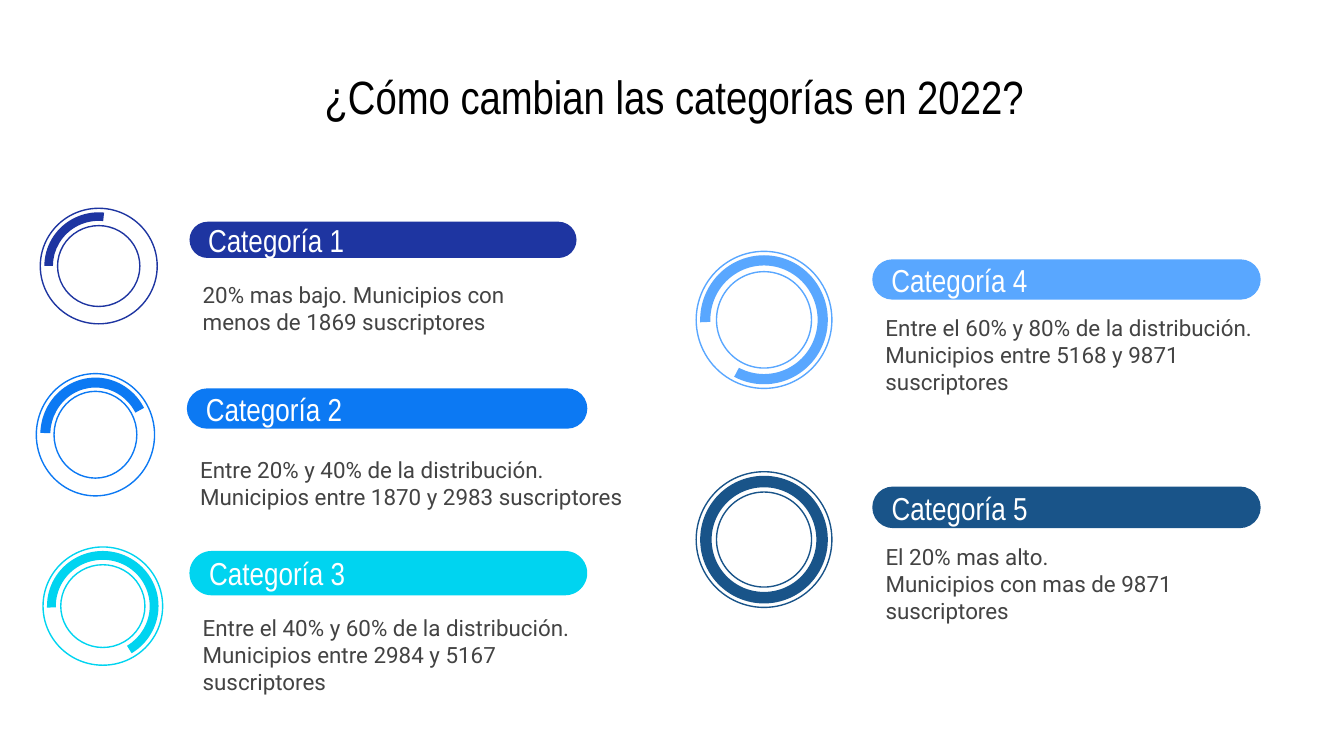
from dataclasses import dataclass

from pptx import Presentation
from pptx.dml.color import RGBColor
from pptx.enum.shapes import MSO_SHAPE
from pptx.enum.text import MSO_ANCHOR, PP_ALIGN
from pptx.util import Inches, Pt

DONUT = MSO_SHAPE.DONUT
BLOCK_ARC = MSO_SHAPE.BLOCK_ARC
ROUNDED = MSO_SHAPE.ROUNDED_RECTANGLE
MIDDLE = MSO_ANCHOR.MIDDLE
LEFT, CENTER = PP_ALIGN.LEFT, PP_ALIGN.CENTER

COLORS = {
    "navy": "1E35A1",
    "blue": "0C79F3",
    "cyan": "00D4F0",
    "sky": "59A7FF",
    "deep": "195489",
    "white": "FFFFFF",
    "gray": "434343",
    "black": "000000",
}
ARC_INSET = 0.03
ADJUSTMENT_PER_DEGREE = 0.6  # 60000 angle units on a scale of 100000


@dataclass
class Box:
    left: float
    top: float
    width: float
    height: float

    def lengths(self) -> list:
        return [Inches(v) for v in (self.left, self.top, self.width, self.height)]


@dataclass
class Category:
    name: str
    color: str
    ring: Box
    arc: tuple[float, float, float]  # start degree, end degree, thickness
    label: Box
    details: Box
    lines: list[str]


CATEGORIES = [
    Category("Categoría 1", "navy", Box(0.3, 1.55, 0.87, 0.86), (180.21, 275.66, 0.08),
             Box(1.41, 1.65, 2.88, 0.27), Box(1.41, 1.94, 2.88, 0.7),
             ["20% mas bajo. Municipios con menos de 1869 suscriptores"]),
    Category("Categoría 2", "blue", Box(0.27, 2.78, 0.88, 0.91), (181.92, 331.07, 0.09),
             Box(1.39, 2.89, 2.98, 0.3), Box(1.39, 3.21, 3.42, 0.77),
             ["Entre 20% y 40% de la distribución. Municipios entre 1870 y 2983 suscriptores"]),
    Category("Categoría 3", "cyan", Box(0.32, 4.07, 0.89, 0.88), (178.46, 58.56, 0.08),
             Box(1.41, 4.1, 2.96, 0.33), Box(1.41, 4.45, 3.34, 0.84),
             ["Entre el 40% y 60% de la distribución.",
              "Municipios entre 2984 y 5167 suscriptores"]),
    Category("Categoría 4", "sky", Box(5.18, 1.87, 1.01, 1.02), (177.72, 117.58, 0.08),
             Box(6.49, 1.93, 2.89, 0.3), Box(6.49, 2.25, 3.3, 0.78),
             ["Entre el 60% y 80% de la distribución.",
              "Municipios entre 5168 y 9871 suscriptores"]),
    Category("Categoría 5", "deep", Box(5.18, 3.51, 1.01, 1.01), (0.28, 360, 0.09),
             Box(6.49, 3.62, 2.89, 0.31), Box(6.49, 3.95, 2.89, 0.78),
             ["El 20% mas alto.", "Municipios con mas de 9871 suscriptores"]),
]


def rgb(color: str) -> RGBColor:
    return RGBColor.from_string(COLORS[color])


def write(shape, lines: list[str], font: str, size: float, color: str, align=LEFT) -> None:
    frame = shape.text_frame
    margins = dict.fromkeys(
        ("margin_left", "margin_top", "margin_right", "margin_bottom"), Inches(0.1))
    for key, value in {"word_wrap": True, "vertical_anchor": MIDDLE, **margins}.items():
        setattr(frame, key, value)
    for index, line in enumerate(lines):
        para = frame.add_paragraph() if index else frame.paragraphs[0]
        para.alignment = align
        span = para.add_run()
        span.text = line
        for key, value in {"name": font, "size": Pt(size), "bold": False}.items():
            setattr(span.font, key, value)
        span.font.color.rgb = rgb(color)


def add_solid(page, kind, box: Box, color: str, adjustments: list[float]):
    shape = page.shapes.add_shape(kind, *box.lengths())
    shape.shadow.inherit = False
    shape.fill.solid()
    shape.fill.fore_color.rgb = rgb(color)
    shape.line.fill.background()
    for index, value in enumerate(adjustments):
        shape.adjustments[index] = value
    return shape


def add_gauge(page, category: Category) -> None:
    ring = category.ring
    donut = add_solid(page, DONUT, ring, category.color, [0.15])
    donut.fill.background()
    donut.line.color.rgb = rgb(category.color)
    donut.line.width = Pt(0.75)

    start, end, thickness = category.arc
    inner = Box(ring.left + ARC_INSET, ring.top + ARC_INSET,
                ring.width - 2 * ARC_INSET, ring.height - 2 * ARC_INSET)
    add_solid(page, BLOCK_ARC, inner, category.color,
              [start * ADJUSTMENT_PER_DEGREE, end * ADJUSTMENT_PER_DEGREE, thickness])


def add_category(page, category: Category) -> None:
    add_gauge(page, category)
    details = page.shapes.add_textbox(*category.details.lengths())
    write(details, category.lines, "Roboto", 12, "gray")
    label = add_solid(page, ROUNDED, category.label, category.color, [0.5])
    write(label, [category.name], "Arial Narrow", 17, "white")


def main() -> None:
    # Widescreen deck, 16 to 9
    deck = Presentation()
    deck.slide_width = Inches(10)
    deck.slide_height = Inches(10 * 9 / 16)
    page = deck.slides.add_slide(deck.slide_layouts[5])

    # Title
    title = page.shapes.title
    title.left, title.top, title.width, title.height = Box(0.53, 0.45, 8.97, 0.53).lengths()
    write(title, ["¿Cómo cambian las categorías en 2022?"], "Arial Narrow", 25, "black", CENTER)

    # Categories with their gauges
    for category in CATEGORIES:
        add_category(page, category)

    deck.save("out.pptx")


if __name__ == "__main__":
    main()
